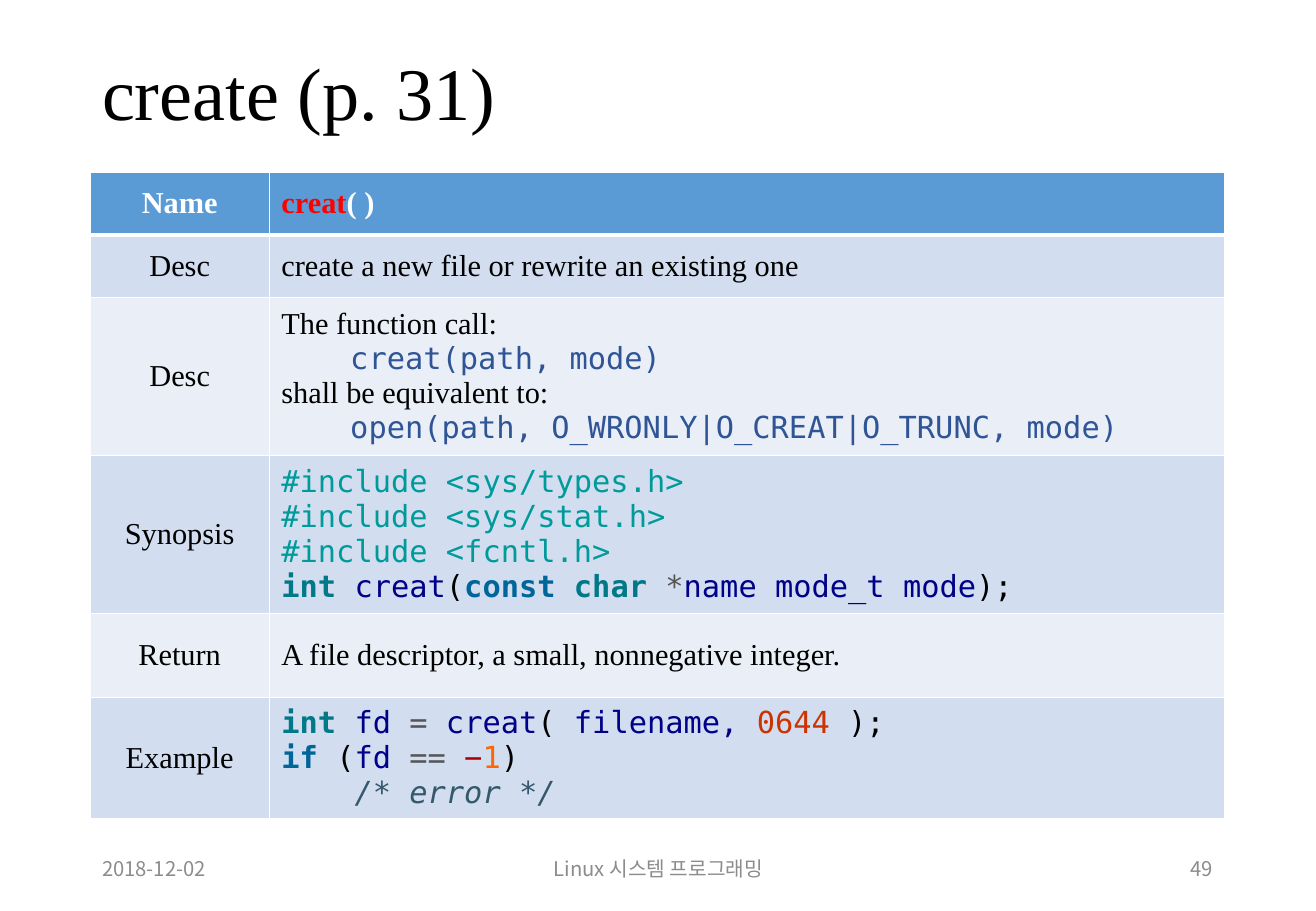
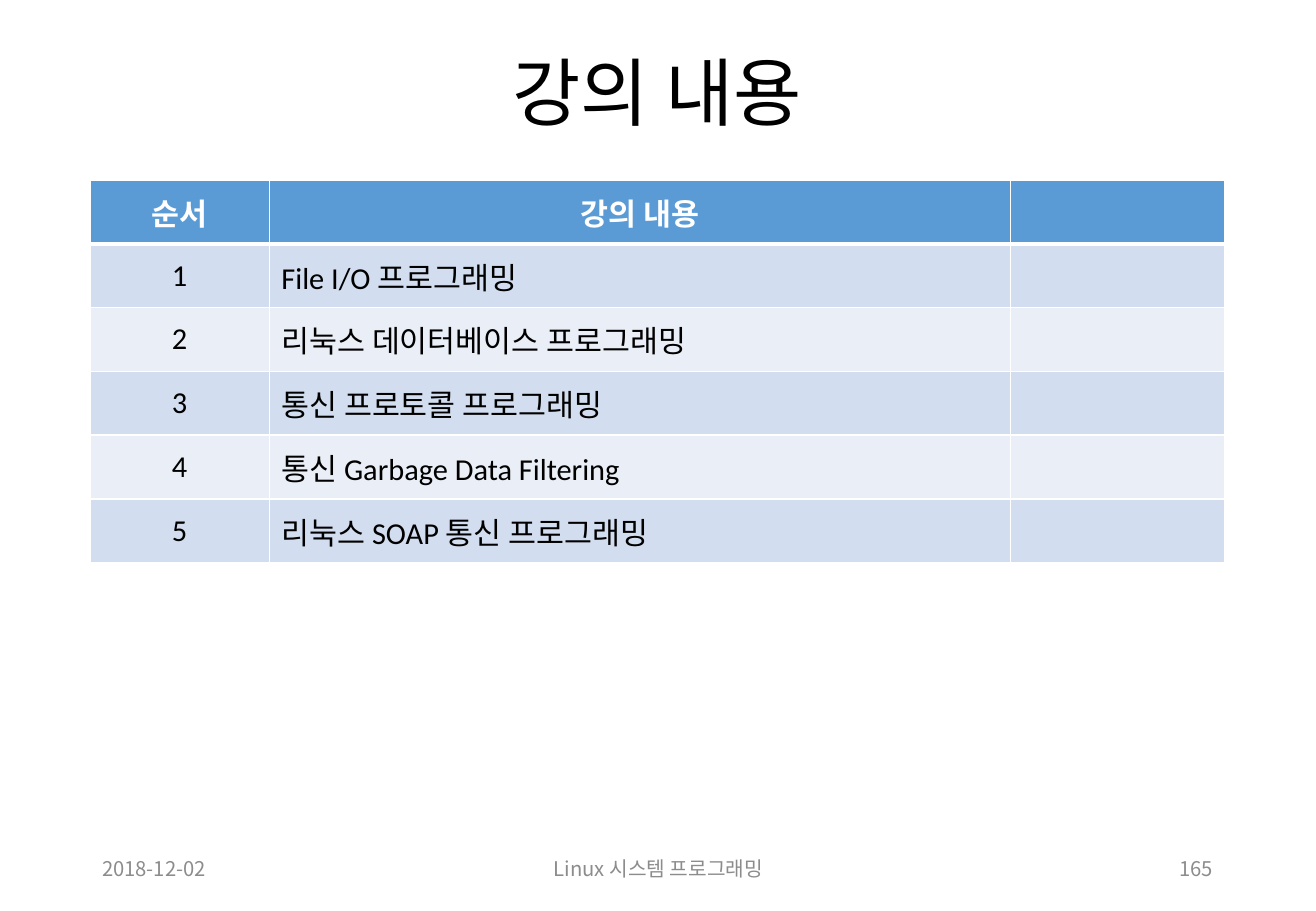
from dataclasses import dataclass
from typing import NamedTuple

from lxml import etree
from pptx import Presentation
from pptx import util as u
from pptx.dml.color import RGBColor
from pptx.enum import text as t
from pptx.oxml import ns

PX = 7620  # EMU per px, 120 px to the inch
WIDE, HIGH = 1300, 900

# Fonts and alignments
SERIF, SANS = "Times New Roman", "Calibri"
MONO, KOREAN = "DejaVu Sans Mono", "Noto Sans CJK KR"
LEFT, MID, RIGHT = t.PP_ALIGN.LEFT, t.PP_ALIGN.CENTER, t.PP_ALIGN.RIGHT

# Shared colours
WHITE = RGBColor(0xFF, 0xFF, 0xFF)
BLACK = RGBColor(0x00, 0x00, 0x00)
GREY = RGBColor(0x8C, 0x8C, 0x8C)
HEAD = RGBColor(0x5B, 0x9B, 0xD5)
BANDS = (RGBColor(0xD2, 0xDE, 0xEF), RGBColor(0xEA, 0xEF, 0xF7))

# Code colours
RED = RGBColor(0xFF, 0x00, 0x00)
BLUE = RGBColor(0x2F, 0x55, 0x97)
TEAL = RGBColor(0x00, 0x9A, 0x9A)
TYPE = RGBColor(0x00, 0x78, 0x88)
WORD = RGBColor(0x00, 0x66, 0x9A)
NAME = RGBColor(0x00, 0x00, 0x88)
SIGN = RGBColor(0x55, 0x55, 0x55)
OCTAL = RGBColor(0xCD, 0x33, 0x00)
MINUS = RGBColor(0xAB, 0x00, 0x00)
DIGIT = RGBColor(0xFF, 0x66, 0x00)
NOTE = RGBColor(0x35, 0x58, 0x6C)


class Box(NamedTuple):
    left: int
    top: int
    wide: int
    high: int


class Run(NamedTuple):
    text: str
    col: RGBColor | None = None
    bold: bool = False
    ital: bool = False
    face: str | None = MONO


@dataclass
class Line:
    runs: list[Run]
    inset: int = 0


@dataclass
class Grid:
    top: int
    cols: list[int]
    rows: list[int]
    cells: list[list[list[Line]]]
    face: str
    heads: t.PP_ALIGN


@dataclass
class Page:
    title: str
    side: t.PP_ALIGN
    num: str
    grid: Grid


EDGE, SPAN = 89, 1121
TITLE = Box(EDGE, 48, SPAN, 95)
DATE = Box(EDGE, 834, 152, 48)
COURSE = Box(431, 834, 439, 48)
NUMBER = Box(1147, 834, 63, 48)


def put(para, text: str, *, face: str, size: int = 18, col: RGBColor = BLACK,
        bold: bool = False, ital: bool = False) -> None:
    """Add one formatted run to a paragraph."""
    run = para.add_run()
    run.text = text
    font = run.font
    font.name, font.size, font.bold, font.italic = face, u.Pt(size), bold, ital
    font.color.rgb = col
    east = etree.Element(ns.qn("a:ea"), typeface=MONO if face == MONO else KOREAN)
    run._r.rPr.find(ns.qn("a:latin")).addnext(east)


def label(slide, box: Box, text: str, side: t.PP_ALIGN, space: float = 1.0, **form) -> None:
    frame = slide.shapes.add_textbox(*(n * PX for n in box)).text_frame
    frame.word_wrap = True
    frame.vertical_anchor = t.MSO_ANCHOR.MIDDLE
    para = frame.paragraphs[0]
    para.alignment, para.line_spacing = side, space
    put(para, text, **form)


def border(cell, top: int, base: int) -> None:
    """Draw white cell edges, with the top and base widths in points."""
    props = cell._tc.get_or_add_tcPr()
    for spot, (tag, width) in enumerate((("lnL", 1), ("lnR", 1), ("lnT", top), ("lnB", base))):
        line = etree.Element(ns.qn(f"a:{tag}"), w=str(u.Pt(width)))
        fill = etree.SubElement(line, ns.qn("a:solidFill"))
        etree.SubElement(fill, ns.qn("a:srgbClr"), val=str(WHITE))
        props.insert(spot, line)


def fill_cell(cell, lines: list[Line], side: t.PP_ALIGN, face: str, head: bool) -> None:
    cell.vertical_anchor = t.MSO_ANCHOR.MIDDLE
    frame = cell.text_frame
    for i, line in enumerate(lines):
        para = frame.add_paragraph() if i else frame.paragraphs[0]
        para.alignment = side
        if line.inset:
            para._p.get_or_add_pPr().set("marL", str(line.inset * PX))
        for run in line.runs:
            put(para, run.text, face=run.face or face, bold=run.bold or head,
                ital=run.ital, col=run.col or (WHITE if head else BLACK))


def table(slide, grid: Grid) -> None:
    box = Box(EDGE, grid.top, SPAN, sum(grid.rows))
    tab = slide.shapes.add_table(len(grid.rows), len(grid.cols), *(n * PX for n in box)).table
    tab.first_row = tab.horz_banding = False
    for col, wide in zip(tab.columns, grid.cols):
        col.width = wide * PX
    for r, (row, high) in enumerate(zip(tab.rows, grid.rows)):
        row.height = high * PX
        for c, lines in enumerate(grid.cells[r]):
            cell = tab.cell(r, c)
            cell.fill.solid()
            cell.fill.fore_color.rgb = BANDS[(r - 1) % 2] if r else HEAD
            border(cell, 3 if r == 1 else 1, 1 if r else 3)
            side = MID if c == 0 else LEFT if r else grid.heads
            fill_cell(cell, lines, side, grid.face, r == 0)


def draw(deck, page: Page) -> None:
    slide = deck.slides.add_slide(deck.slide_layouts[6])
    label(slide, TITLE, page.title, page.side, space=0.9, face=SERIF, size=44)
    table(slide, page.grid)
    # Footer
    for box, text, side in ((DATE, "2018-12-02", LEFT),
                            (COURSE, "Linux 시스템 프로그래밍", MID),
                            (NUMBER, page.num, RIGHT)):
        label(slide, box, text, side, face=KOREAN, size=12, col=GREY)


def plain(text: str) -> list[Line]:
    return [Line([Run(text, face=None)])] if text else []


def code(*runs: Run) -> Line:
    return Line(list(runs))


# Function reference
CALLS = (plain("The function call:")
         + [Line([Run("creat(path, mode)", BLUE)], 68)]
         + plain("shall be equivalent to:")
         + [Line([Run("open(path, O_WRONLY|O_CREAT|O_TRUNC, mode)", BLUE)], 68)])
SYNOPSIS = [code(Run(f"#include <{name}.h>", TEAL))
            for name in ("sys/types", "sys/stat", "fcntl")]
SYNOPSIS.append(code(Run("int ", TYPE, True), Run("creat", NAME), Run("("),
                     Run("const ", WORD, True), Run("char ", TYPE, True), Run("*", SIGN),
                     Run("name mode_t mode", NAME), Run(");")))
EXAMPLE = [
    code(Run("int ", TYPE, True), Run("fd ", NAME), Run("= ", SIGN), Run("creat", NAME),
         Run("("), Run(" filename, ", NAME), Run("0644", OCTAL), Run(" );")),
    code(Run("if ", WORD, True), Run("("), Run("fd ", NAME), Run("== ", SIGN),
         Run("−", MINUS), Run("1", DIGIT), Run(")")),
    code(Run("    /* error */", NOTE, ital=True)),
]
CREAT = Grid(170, [177, 944], [62, 62, 148, 151, 83, 116], [
    [plain("Name"), [Line([Run("creat", RED, face=None), Run("( )", face=None)])]],
    [plain("Desc"), plain("create a new file or rewrite an existing one")],
    [plain("Desc"), CALLS],
    [plain("Synopsis"), SYNOPSIS],
    [plain("Return"), plain("A file descriptor, a small, nonnegative integer.")],
    [plain("Example"), EXAMPLE],
], SERIF, LEFT)

# Course outline
TOPICS = ("File I/O 프로그래밍", "리눅스 데이터베이스 프로그래밍", "통신 프로토콜 프로그래밍",
          "통신 Garbage Data Filtering", "리눅스 SOAP 통신 프로그래밍")
OUTLINE = Grid(178, [177, 732, 212], [63] * 6, [
    [plain("순서"), plain("강의 내용"), []],
    *([plain(str(n)), plain(topic), []] for n, topic in enumerate(TOPICS, 1)),
], SANS, MID)

PAGES = (Page("create (p. 31)", LEFT, "49", CREAT),
         Page("강의 내용", MID, "165", OUTLINE))


def main() -> None:
    deck = Presentation()
    deck.slide_width, deck.slide_height = WIDE * PX, HIGH * PX
    for page in PAGES:
        draw(deck, page)
    deck.save("out.pptx")


if __name__ == "__main__":
    main()
